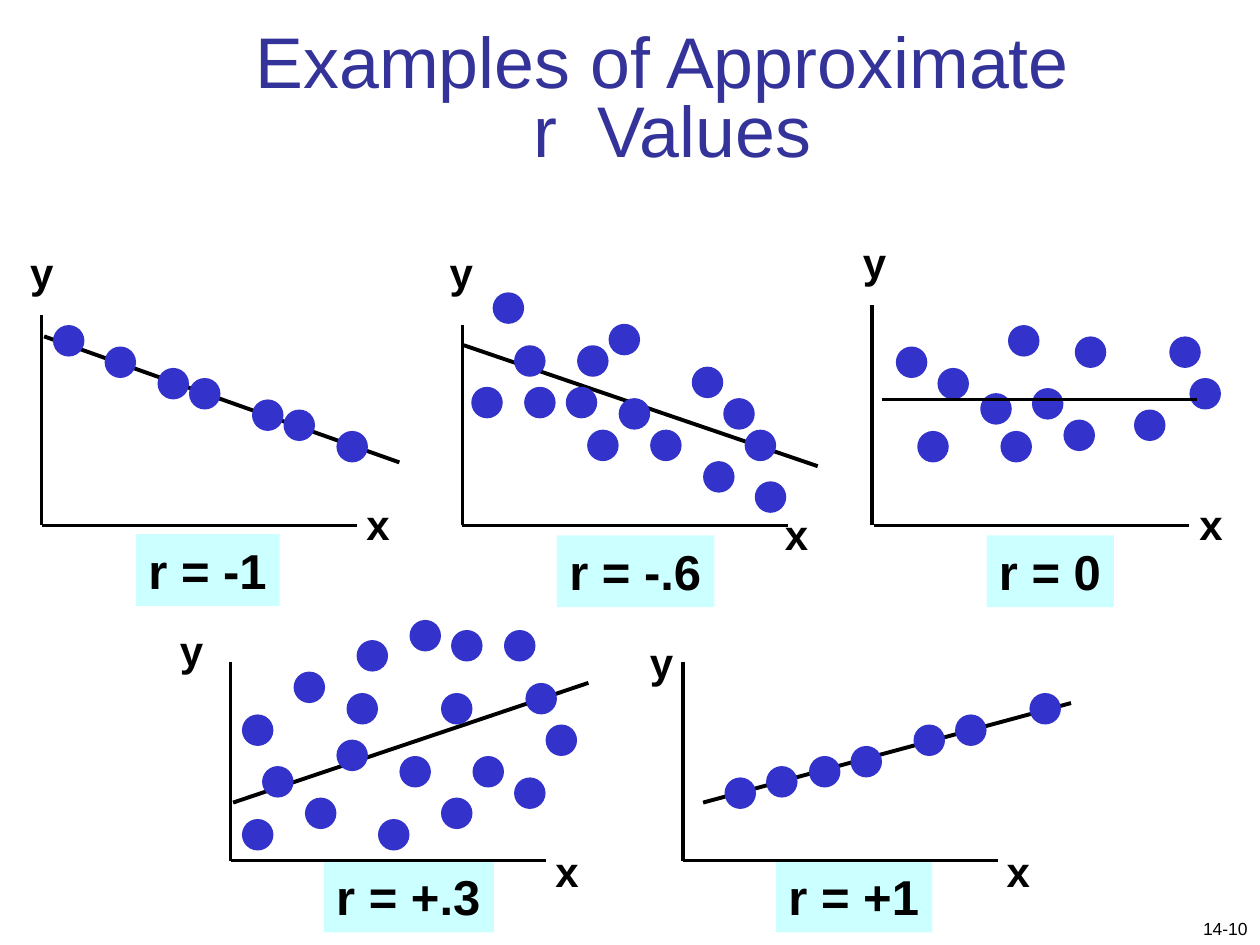
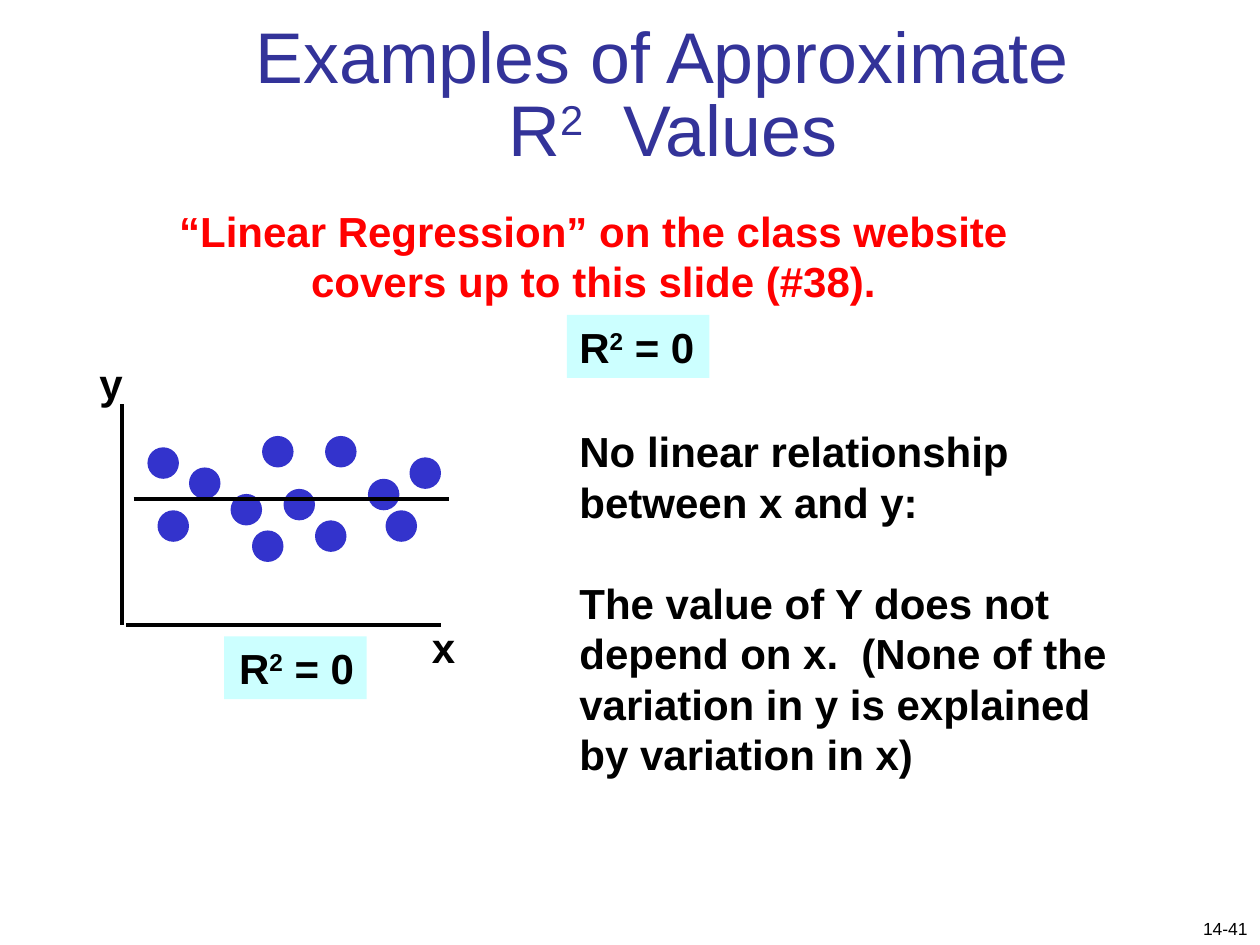
import lxml.etree
import pptx
import pptx.dml.color
import pptx.enum.shapes
import pptx.enum.text
import pptx.oxml.ns
import pptx.util

Inches = pptx.util.Inches
Align = pptx.enum.text.PP_ALIGN
Anchor = pptx.enum.text.MSO_ANCHOR

FONT = "Arial"
BLACK = "000000"
TITLE_BLUE = "333399"
DOT_BLUE = "3333CC"
LABEL_CYAN = "CCFFFF"
NOTE_RED = "FF0000"
DOT_SIZE = 0.25
LETTER_SIZE = (0.39, 0.5)

# Each plot: label (text, box, size), y axis (x, top, bottom), x axis (start, end),
# letter corners, trend line ends, and the top left corner of every dot.
CORRELATION_PLOTS = [
    dict(label=("r = -1", (1.08, 4.24, 1.14, 0.57), 28),
         y_axis=(0.33, 2.5, 4.17), x_axis=(0.33, 2.83),
         y_letter=(0.14, 1.91), x_letter=(2.81, 3.91),
         trend=((0.35, 2.67), (3.17, 3.67)),
         dots=[(0.42, 2.58), (0.83, 2.75), (1.25, 2.92), (1.5, 3),
               (2, 3.17), (2.25, 3.25), (2.67, 3.42)]),
    dict(label=("r = -.6", (4.42, 4.25, 1.25, 0.57), 28),
         y_axis=(3.67, 2.58, 4.17), x_axis=(3.67, 6.25),
         y_letter=(3.47, 1.91), x_letter=(6.13, 3.99),
         trend=((3.68, 2.74), (6.49, 3.7)),
         dots=[(3.74, 3.07), (3.91, 2.32), (4.08, 2.74), (4.16, 3.07),
               (4.49, 3.07), (4.58, 2.74), (4.66, 3.41), (4.83, 2.57),
               (4.91, 3.16), (5.16, 3.41), (5.49, 2.91), (5.58, 3.66),
               (5.74, 3.16), (5.91, 3.41), (5.99, 3.82)]),
    dict(label=("r = 0", (7.83, 4.25, 1.01, 0.57), 28),
         y_axis=(6.92, 2.42, 4.17), x_axis=(6.94, 9.44),
         y_letter=(6.75, 1.83), x_letter=(9.42, 3.91),
         trend=((7, 3.17), (9.5, 3.17)),
         dots=[(7.11, 2.75), (7.28, 3.42), (7.44, 2.92), (7.78, 3.12),
               (7.94, 3.42), (8, 2.58), (8.19, 3.08), (8.44, 3.33),
               (8.53, 2.67), (9, 3.25), (9.28, 2.67), (9.44, 3)]),
    dict(label=("r = +.3", (2.57, 6.83, 1.35, 0.57), 28),
         y_axis=(1.83, 5.25, 6.83), x_axis=(1.83, 4.33),
         y_letter=(1.33, 4.91), x_letter=(4.31, 6.66),
         trend=((1.85, 6.37), (4.67, 5.42)),
         dots=[(1.92, 5.67), (1.92, 6.5), (2.08, 6.08), (2.33, 5.33),
               (2.42, 6.33), (2.67, 5.87), (2.75, 5.5), (2.83, 5.08),
               (3, 6.5), (3.17, 6), (3.25, 4.92), (3.5, 5.5),
               (3.5, 6.33), (3.58, 5), (3.75, 6), (4, 5),
               (4.08, 6.17), (4.17, 5.42), (4.33, 5.75)]),
    dict(label=("r = +1", (6.16, 6.83, 1.24, 0.57), 28),
         y_axis=(5.42, 5.25, 6.83), x_axis=(5.42, 7.92),
         y_letter=(5.06, 5), x_letter=(7.89, 6.66),
         trend=((5.58, 6.37), (8.5, 5.58)),
         dots=[(5.75, 6.17), (6.08, 6.08), (6.42, 6), (6.75, 5.92),
               (7.25, 5.75), (7.58, 5.67), (8.17, 5.5)]),
]

NO_RELATIONSHIP_PLOT = dict(
    label=("R^2^ = 0", (1.78, 5.05, 1.13, 0.5), 24, Align.RIGHT),
    y_axis=(0.97, 3.21, 4.96), x_axis=(1, 3.5),
    y_letter=(0.69, 2.79), x_letter=(3.33, 4.88),
    trend=((1.06, 3.96), (3.56, 3.96)),
    dots=[(1.17, 3.55), (1.25, 4.05), (1.5, 3.71), (1.83, 3.92),
          (2, 4.21), (2.08, 3.46), (2.25, 3.88), (2.5, 4.13),
          (2.58, 3.46), (2.92, 3.8), (3.06, 4.05), (3.25, 3.63)])


def color(hex_string):
    return pptx.dml.color.RGBColor.from_string(hex_string)


class Deck:
    """Holds the presentation, its style and the current slide."""

    def __init__(self):
        self.presentation = pptx.Presentation()
        self.presentation.slide_width = Inches(10)
        self.presentation.slide_height = Inches(7.5)
        self.slide = None

    def add_slide(self, title, title_spacing, number):
        self.slide = self.presentation.slides.add_slide(
            self.presentation.slide_layouts[6])
        self.text((7.92, 7.16, 2.08, 0.34), number, 10, bold=False,
                  alignment=Align.RIGHT, anchor=Anchor.BOTTOM)
        heading = self.text((1.08, 0.33, 8.52, 1.08), title, 41, TITLE_BLUE,
                            bold=False, alignment=Align.CENTER,
                            anchor=Anchor.BOTTOM)
        heading.text_frame.paragraphs[0].line_spacing = title_spacing

    def fill_paragraph(self, paragraph, text, size, font_color, bold, alignment):
        """Adds formatted runs; text between two ^ marks is superscript."""
        paragraph.alignment = alignment
        for line_number, line in enumerate(text.split("\n")):
            if line_number:
                paragraph.add_line_break()
            for piece_number, piece in enumerate(line.split("^")):
                run = paragraph.add_run()
                run.text = piece
                run.font.name = FONT
                run.font.size = pptx.util.Pt(size)
                run.font.bold = bold
                run.font.color.rgb = color(font_color)
                if piece_number % 2:
                    run._r.get_or_add_rPr().set("baseline", "30000")

    def text(self, box, text, size=24, font_color=BLACK, bold=True,
             alignment=Align.LEFT, anchor=Anchor.TOP, wrap=True):
        shape = self.slide.shapes.add_textbox(*map(Inches, box))
        frame = shape.text_frame
        frame.word_wrap = wrap
        frame.vertical_anchor = anchor
        self.fill_paragraph(frame.paragraphs[0], text, size, font_color, bold,
                            alignment)
        return shape

    def filled_shape(self, kind, box, fill):
        shape = self.slide.shapes.add_shape(kind, *map(Inches, box))
        shape.shadow.inherit = False
        shape.fill.solid()
        shape.fill.fore_color.rgb = color(fill)
        shape.line.fill.background()
        return shape

    def label(self, text, box, size, alignment=Align.LEFT):
        shape = self.filled_shape(pptx.enum.shapes.MSO_SHAPE.RECTANGLE, box,
                                  LABEL_CYAN)
        frame = shape.text_frame
        frame.word_wrap = False
        frame.auto_size = pptx.enum.text.MSO_AUTO_SIZE.SHAPE_TO_FIT_TEXT
        frame.vertical_anchor = Anchor.TOP
        self.fill_paragraph(frame.paragraphs[0], text, size, BLACK, True,
                            alignment)

    def line(self, start, end, width=2):
        connector = self.slide.shapes.add_connector(
            pptx.enum.shapes.MSO_CONNECTOR.STRAIGHT,
            *map(Inches, (*start, *end)))
        connector.line.color.rgb = color(BLACK)
        connector.line.width = pptx.util.Pt(width)
        lxml.etree.SubElement(connector._element.spPr,
                              pptx.oxml.ns.qn("a:effectLst"))

    def dots(self, corners):
        for corner in corners:
            self.filled_shape(pptx.enum.shapes.MSO_SHAPE.OVAL,
                              (*corner, DOT_SIZE, DOT_SIZE), DOT_BLUE)

    def plot(self, label, y_axis, x_axis, y_letter, x_letter, trend, dots):
        """Draws a scatter sketch; a flat trend line lies over its dots."""
        self.label(*label)
        x, top, bottom = y_axis
        self.line((x, top), (x, bottom))
        self.line((x_axis[0], bottom), (x_axis[1], bottom))
        for letter, corner in (("y", y_letter), ("x", x_letter)):
            self.text((*corner, *LETTER_SIZE), letter, wrap=False)
        start, end = trend
        if start[1] == end[1]:
            self.dots(dots)
            self.line(start, end)
        else:
            self.line(start, end, 2.25)
            self.dots(dots)


def main():
    deck = Deck()

    deck.add_slide("Examples of Approximate \nr  Values", 0.8, "14-10")
    for plot in CORRELATION_PLOTS:
        deck.plot(**plot)

    deck.add_slide("Examples of Approximate \nR^2^  Values", 0.85, "14-41")
    deck.label("R^2^ = 0", (4.5, 2.5, 1.13, 0.5), 24)
    explanation = deck.text((4.5, 3.33, 4.58, 2.9),
                            "No linear relationship between x and y:")
    detail = explanation.text_frame.add_paragraph()
    detail.space_before = pptx.util.Pt(29)
    deck.fill_paragraph(detail, "The value of Y does not depend on x.  (None of "
                        "the variation in y is explained by variation in x)",
                        24, BLACK, True, Align.LEFT)
    deck.plot(**NO_RELATIONSHIP_PLOT)
    deck.text((1, 1.58, 7.42, 0.91),
              "“Linear Regression” on the class website covers up to this "
              "slide (#38).", font_color=NOTE_RED, alignment=Align.CENTER)

    deck.presentation.save("out.pptx")


if __name__ == "__main__":
    main()
